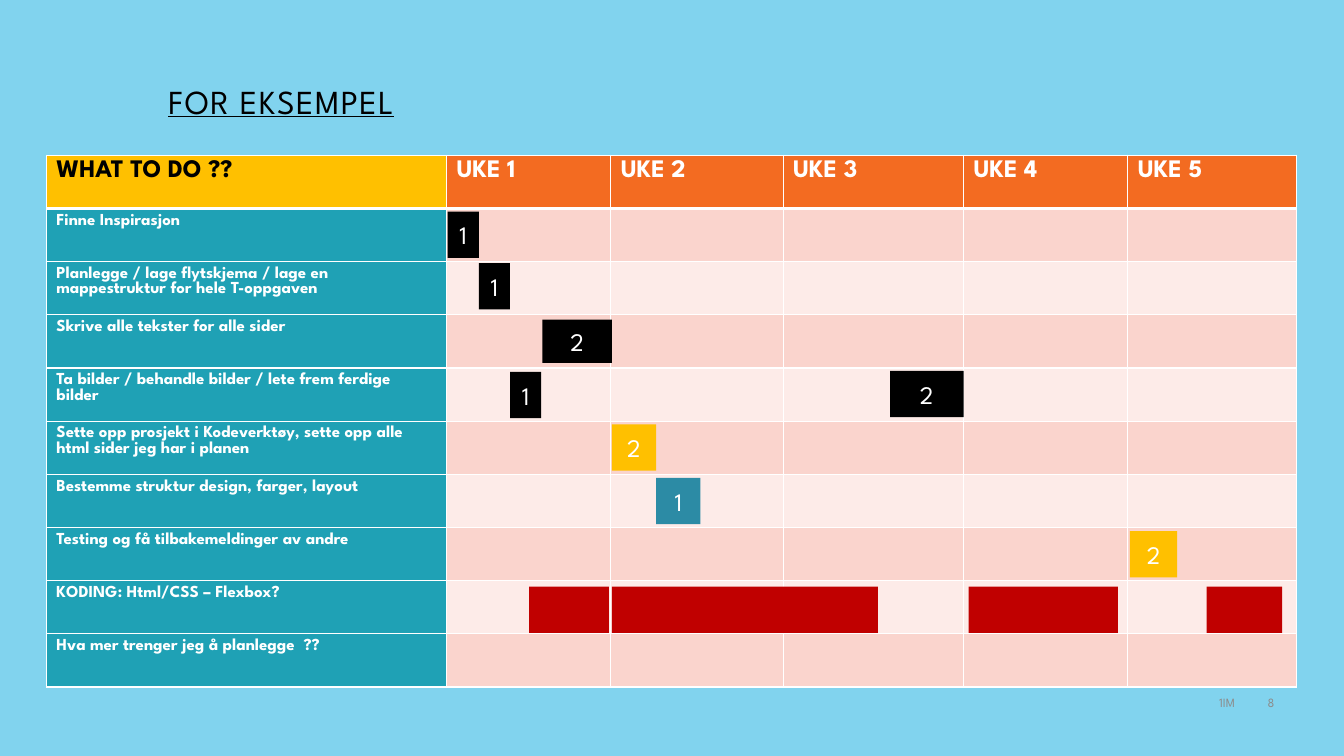
from dataclasses import dataclass
from itertools import product

from lxml.etree import SubElement
from pptx import Presentation
from pptx.dml.color import RGBColor
from pptx.enum.shapes import MSO_SHAPE
from pptx.enum.text import MSO_ANCHOR, PP_ALIGN
from pptx.oxml.ns import qn
from pptx.slide import Slide
from pptx.table import _Cell
from pptx.text.text import TextFrame
from pptx.util import Pt

FONT = "League Spartan"
HUES = {
    "sky": "81D3EE", "black": "000000", "white": "FFFFFF", "gray": "8C8C8C",
    "gold": "FFC000", "orange": "F36B21", "teal": "1FA1B5", "blue": "2C8BA5",
    "red": "C00000", "rose": "FAD4CD", "blush": "FDEBE8",
}
COLS = [285.84, 117.36, 123.12, 128.88, 117.36, 120.24]
HEADS = ["WHAT TO DO ??"] + [f"UKE {week}" for week in range(1, 6)]
TASKS = [
    "Finne Inspirasjon",
    "Planlegge / lage flytskjema / lage en mappestruktur for hele T-oppgaven",
    "Skrive alle tekster for alle sider",
    "Ta bilder / behandle bilder / lete frem ferdige bilder",
    "Sette opp prosjekt i Kodeverktøy, sette opp alle html sider jeg har i planen",
    "Bestemme struktur design, farger, layout",
    "Testing og få tilbakemeldinger av andre",
    "KODING: Html/CSS – Flexbox?",
    "Hva mer trenger jeg å planlegge  ??",
]


@dataclass
class Label:
    text: str
    left: float
    top: float
    width: float
    height: float
    size: float
    hue: str
    align: PP_ALIGN


@dataclass
class Bar:
    left: float
    top: float
    width: float
    hue: str
    text: str = ""
    height: float = 33.12


TITLE = Label("FOR EKSEMPEL", 120.24, 43.2, 719.28, 88.56, 24, "black", PP_ALIGN.LEFT)
FOOTS = [
    Label("1IM", 328.32, 463.68, 560.88, 76.32, 9, "gray", PP_ALIGN.RIGHT),
    Label("8", 889.2, 463.68, 37.44, 76.32, 9, "gray", PP_ALIGN.CENTER),
]
BARS = [
    Bar(319.68, 151.2, 22.32, "black", "1"),
    Bar(342, 187.92, 22.32, "black", "1"),
    Bar(387.36, 228.24, 49.68, "black", "2", 30.96),
    Bar(635.76, 264.96, 52.56, "black", "2"),
    Bar(437.04, 303.12, 31.68, "gold", "2"),
    Bar(378, 419.04, 56.88, "red"),
    Bar(468.72, 341.28, 31.68, "blue", "1"),
    Bar(861.84, 419.04, 54, "red"),
    Bar(437.04, 419.04, 190.08, "red"),
    Bar(691.92, 419.04, 106.56, "red"),
    Bar(364.32, 265.68, 22.32, "black", "1"),
    Bar(807.12, 379.44, 33.84, "gold", "2"),
]


def tint(hue: str) -> RGBColor:
    return RGBColor.from_string(HUES[hue])


def write(frame: TextFrame, text: str, size: float, hue: str,
          align: PP_ALIGN = PP_ALIGN.LEFT, bold: bool = False) -> None:
    frame.text = text
    para = frame.paragraphs[0]
    para.alignment = align
    font = para.font
    font.name, font.size, font.bold = FONT, Pt(size), bold
    font.color.rgb = tint(hue)


def place(slide: Slide, label: Label) -> TextFrame:
    box = slide.shapes.add_textbox(
        Pt(label.left), Pt(label.top), Pt(label.width), Pt(label.height))
    frame = box.text_frame
    frame.word_wrap = True
    frame.vertical_anchor = MSO_ANCHOR.MIDDLE
    write(frame, label.text, label.size, label.hue, label.align)
    return frame


def head(slide: Slide) -> None:
    frame = place(slide, TITLE)
    frame.vertical_anchor = MSO_ANCHOR.TOP
    frame.margin_left = frame.margin_right = frame.margin_bottom = 0
    frame.margin_top = Pt(14.4)
    para = frame.paragraphs[0]
    para.font.underline = True
    para.runs[0]._r.get_or_add_rPr().set("spc", "100")


def edge(cell: _Cell, base: float) -> None:
    props = cell._tc.get_or_add_tcPr()
    for spot, side in enumerate(("lnL", "lnR", "lnT", "lnB")):
        line = props.makeelement(qn(f"a:{side}"))
        line.set("w", str(Pt(base if side == "lnB" else 1)))
        fill = SubElement(line, qn("a:solidFill"))
        SubElement(fill, qn("a:srgbClr")).set("val", HUES["white"])
        props.insert(spot, line)


def grid(slide: Slide) -> None:
    rows = len(TASKS) + 1
    table = slide.shapes.add_table(
        rows, len(COLS), Pt(33.12), Pt(110.88), Pt(sum(COLS)), Pt(38 * rows)).table
    table.first_row = table.horz_banding = False
    for col, width in zip(table.columns, COLS):
        col.width = Pt(width)
    for row, col in product(range(rows), range(len(COLS))):
        cell = table.cell(row, col)
        if row == 0:
            hue = "orange" if col else "gold"
            write(cell.text_frame, HEADS[col], 18, "white" if col else "black", bold=True)
        elif col == 0:
            hue = "teal"
            write(cell.text_frame, TASKS[row - 1], 12, "white", bold=True)
        else:
            hue = "rose" if row % 2 else "blush"
        cell.fill.solid()
        cell.fill.fore_color.rgb = tint(hue)
        edge(cell, 1 if row else 3)


def draw(slide: Slide, bar: Bar) -> None:
    rect = slide.shapes.add_shape(
        MSO_SHAPE.RECTANGLE, Pt(bar.left), Pt(bar.top), Pt(bar.width), Pt(bar.height))
    rect.shadow.inherit = False
    rect.fill.solid()
    rect.fill.fore_color.rgb = tint(bar.hue)
    rect.line.fill.background()
    if bar.text:
        rect.text_frame.vertical_anchor = MSO_ANCHOR.MIDDLE
        write(rect.text_frame, bar.text, 18, "white", PP_ALIGN.CENTER)


def main() -> None:
    deck = Presentation()
    deck.slide_width, deck.slide_height = Pt(960), Pt(540)
    slide = deck.slides.add_slide(deck.slide_layouts[6])
    slide.background.fill.solid()
    slide.background.fill.fore_color.rgb = tint("sky")
    head(slide)
    for foot in FOOTS:
        place(slide, foot)
    grid(slide)
    for bar in BARS:
        draw(slide, bar)
    deck.save("out.pptx")


if __name__ == "__main__":
    main()
